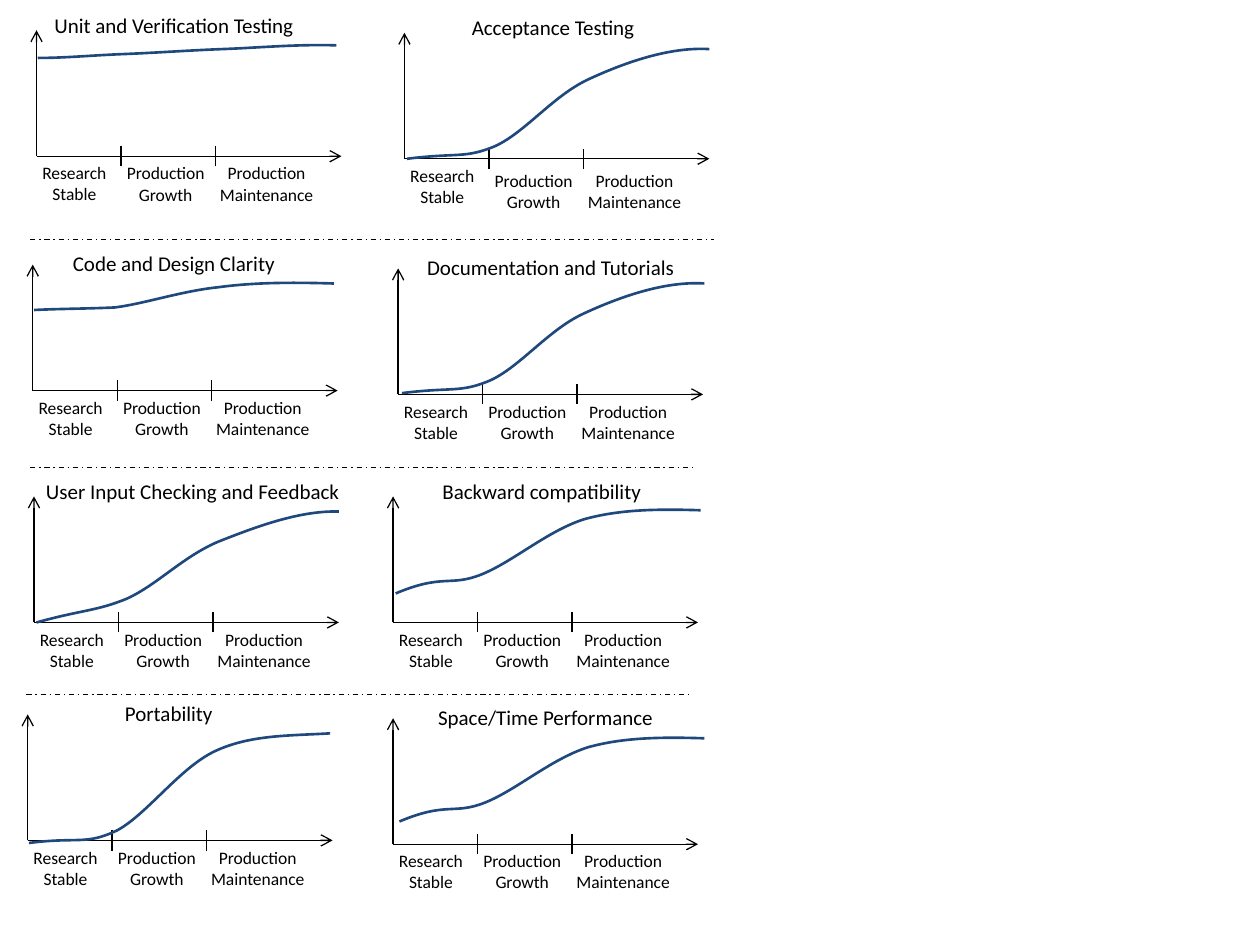
from dataclasses import dataclass
from lxml import etree
from pptx import Presentation, util as u
from pptx.dml.color import RGBColor
from pptx.enum import dml, shapes, text
from pptx.oxml.ns import qn

INK, CURVE_BLUE = "000000", "1F497D"
AXIS_WIDTH, AXIS_HEIGHT, TICK = 2.42, 1.0, 0.08
STAGE_STARTS = (0.67, 1.42)

Point = tuple[float, float]

# Offsets from the curve's start: two control points and an end per segment.
STEADY = [(0.22, 0), (0.42, -0.02), (0.67, -0.03), (0.93, -0.04), (1.2, -0.06),
          (1.46, -0.07), (1.74, -0.08), (2.05, -0.11), (2.37, -0.1)]
SLIGHT_RISE = [(0.21, -0.01), (0.43, -0.01), (0.64, -0.02), (0.88, -0.05), (1.17, -0.15),
               (1.46, -0.18), (1.75, -0.22), (2.06, -0.22), (2.38, -0.21)]
STEADY_RISE = [(0.36, -0.1), (0.48, -0.09), (0.72, -0.19), (0.96, -0.3), (1.16, -0.52),
               (1.44, -0.64), (1.72, -0.75), (2.08, -0.89), (2.4, -0.88)]
LATE_RISE = [(0.4, -0.05), (0.46, 0), (0.7, -0.1), (0.94, -0.21), (1.16, -0.5),
             (1.44, -0.63), (1.72, -0.76), (2.08, -0.89), (2.4, -0.87)]
STEEP_RISE = [(0.39, -0.05), (0.45, 0.02), (0.7, -0.1), (0.94, -0.23), (1.2, -0.6),
              (1.48, -0.73), (1.76, -0.86), (2.07, -0.85), (2.39, -0.87)]
TWO_STEP = [(0.38, -0.16), (0.43, -0.05), (0.68, -0.15), (0.93, -0.25), (1.21, -0.5),
            (1.5, -0.59), (1.79, -0.67), (2.1, -0.67), (2.42, -0.66)]


@dataclass
class Stage:
    """A lifecycle stage label, placed from the axis origin."""
    words: tuple[str, str]
    left: float
    width: float
    height: float


@dataclass
class Panel:
    """One graph; title middle and curve start are measured from its origin."""
    title: str
    origin: Point
    title_middle: float
    title_rise: float
    title_width: float
    start: Point
    curve: list[Point]
    production_drop: float = 0


STAGES = [
    Stage(("Research", "Stable"), -0.06, 0.72, 0.44),
    Stage(("Production", "Growth"), 0.61, 0.83, 0.61),
    Stage(("Production", "Maintenance"), 1.35, 0.95, 0.61),
]
PANELS = [
    Panel("Unit and Verification Testing", (0.29, 1.24), 1.09, 1.19, 2.12, (0.01, -0.78), STEADY),
    Panel("Acceptance Testing", (3.21, 1.26), 1.18, 1.19, 1.51, (0.02, 0), LATE_RISE, 0.04),
    Panel("Code and Design Clarity", (0.26, 3.1), 1.12, 1.16, 1.82, (0.01, -0.64), SLIGHT_RISE),
    Panel("Documentation and Tutorials", (3.16, 3.13), 1.21, 1.16, 2.18, (0.03, -0.01), LATE_RISE),
    Panel("User Input Checking and Feedback", (0.27, 4.94), 1.26, 1.19, 2.55, (0.02, 0), STEADY_RISE),
    Panel("Backward compatibility", (3.12, 4.94), 1.18, 1.19, 1.8, (0.02, -0.23), TWO_STEP),
    Panel("Portability", (0.22, 6.67), 1.12, 1.16, 0.9, (0.01, 0.02), STEEP_RISE),
    Panel("Space/Time Performance", (3.12, 6.7), 1.21, 1.16, 1.93, (0.05, -0.18), TWO_STEP),
]
DIVIDERS = [(0.24, 5.67, 1.9), (0.24, 5.51, 3.71), (0.21, 5.47, 5.51)]


def rgb(color: str) -> RGBColor:
    """Turn a hex string into a colour."""
    return RGBColor.from_string(color)


def draw_line(slide, begin: Point, end: Point, arrow: bool = False, dashed: bool = False) -> None:
    """Draw a thin line, optionally dashed or with an arrowhead at its end."""
    rule = slide.shapes.add_connector(
        shapes.MSO_CONNECTOR.STRAIGHT, *(u.Inches(v) for v in (*begin, *end)))
    rule.line.color.rgb = rgb(INK)
    rule.line.width = u.Pt(0.75)
    if dashed:
        rule.line.dash_style = dml.MSO_LINE.DASH_DOT
    if arrow:
        etree.SubElement(rule.line._get_or_add_ln(), qn("a:tailEnd"), type="arrow")
    etree.SubElement(rule._element.spPr, qn("a:effectLst"))


def draw_label(slide, lines: tuple[str, ...], box: tuple[float, ...], size: float) -> None:
    """Write centred lines that do not wrap, one paragraph each."""
    frame = slide.shapes.add_textbox(*(u.Inches(v) for v in box)).text_frame
    frame.word_wrap = False
    frame.auto_size = text.MSO_AUTO_SIZE.SHAPE_TO_FIT_TEXT
    frame.text = "\n".join(lines)
    for paragraph in frame.paragraphs:
        paragraph.alignment = text.PP_ALIGN.CENTER
        paragraph.font.name = "Calibri"
        paragraph.font.size = u.Pt(size)
        paragraph.font.color.rgb = rgb(INK)


def draw_curve(slide, start: Point, offsets: list[Point]) -> None:
    """Draw a smooth open curve of cubic segments."""
    x, y = start
    builder = slide.shapes.build_freeform(u.Inches(x), u.Inches(y))
    builder.add_line_segments(
        [(u.Inches(x + dx), u.Inches(y + dy)) for dx, dy in offsets], close=False)
    curve = builder.convert_to_shape()
    steps = list(curve._element.iter(qn("a:lnTo")))
    for first in range(0, len(steps), 3):
        segment = etree.Element(qn("a:cubicBezTo"))
        steps[first].addprevious(segment)
        for step in steps[first:first + 3]:
            segment.append(step[0])
            step.getparent().remove(step)
    curve.fill.background()
    curve.line.color.rgb = rgb(CURVE_BLUE)
    curve.line.width = u.Pt(1.5)
    curve.shadow.inherit = False


def draw_panel(slide, panel: Panel) -> None:
    """Draw one graph with its axes, stage labels, title and curve."""
    x, y = panel.origin
    draw_line(slide, (x, y), (x, y - AXIS_HEIGHT), arrow=True)
    draw_line(slide, (x, y), (x + AXIS_WIDTH, y), arrow=True)
    for tick in STAGE_STARTS:
        draw_line(slide, (x + tick, y + TICK), (x + tick, y - TICK))
    for stage in STAGES:
        drop = panel.production_drop if "Production" in stage.words else 0
        draw_label(slide, stage.words, (x + stage.left, y + drop, stage.width, stage.height), 10)
    title_left = x + panel.title_middle - panel.title_width / 2
    draw_label(slide, (panel.title,), (title_left, y - panel.title_rise, panel.title_width, 0.3), 12)
    draw_curve(slide, (x + panel.start[0], y + panel.start[1]), panel.curve)


def main() -> None:
    """Build the slide and save it."""
    deck = Presentation()
    deck.slide_width, deck.slide_height = u.Inches(10), u.Inches(7.5)
    slide = deck.slides.add_slide(deck.slide_layouts[6])
    for panel in PANELS:
        draw_panel(slide, panel)
    for left, right, y in DIVIDERS:
        draw_line(slide, (left, y), (right, y), dashed=True)
    deck.save("out.pptx")


main()
